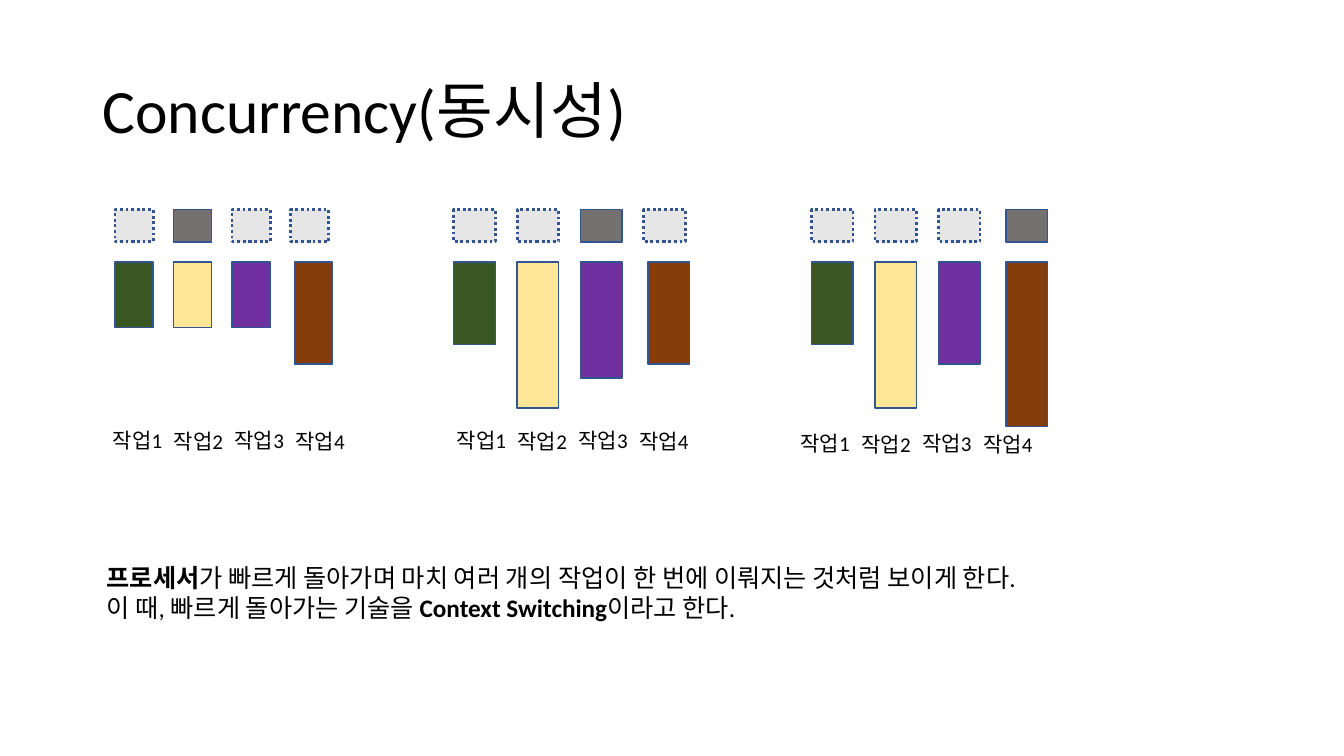
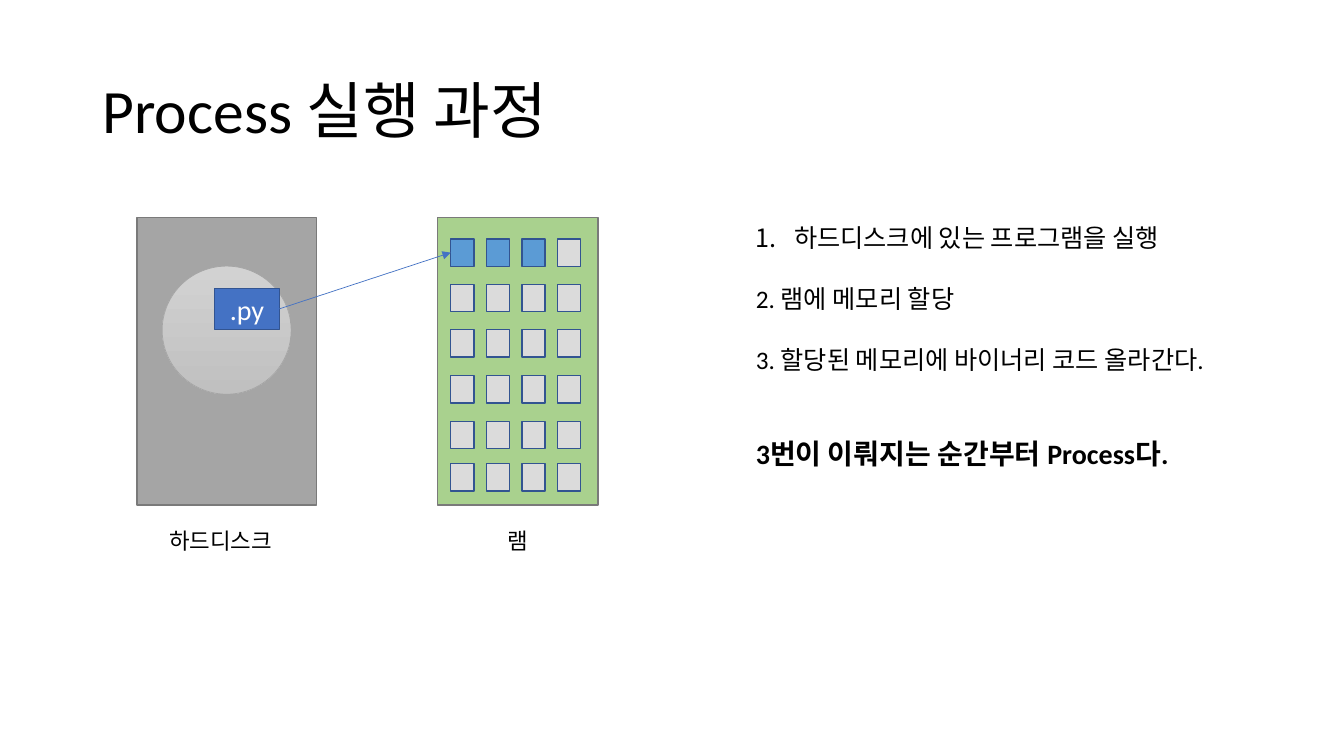
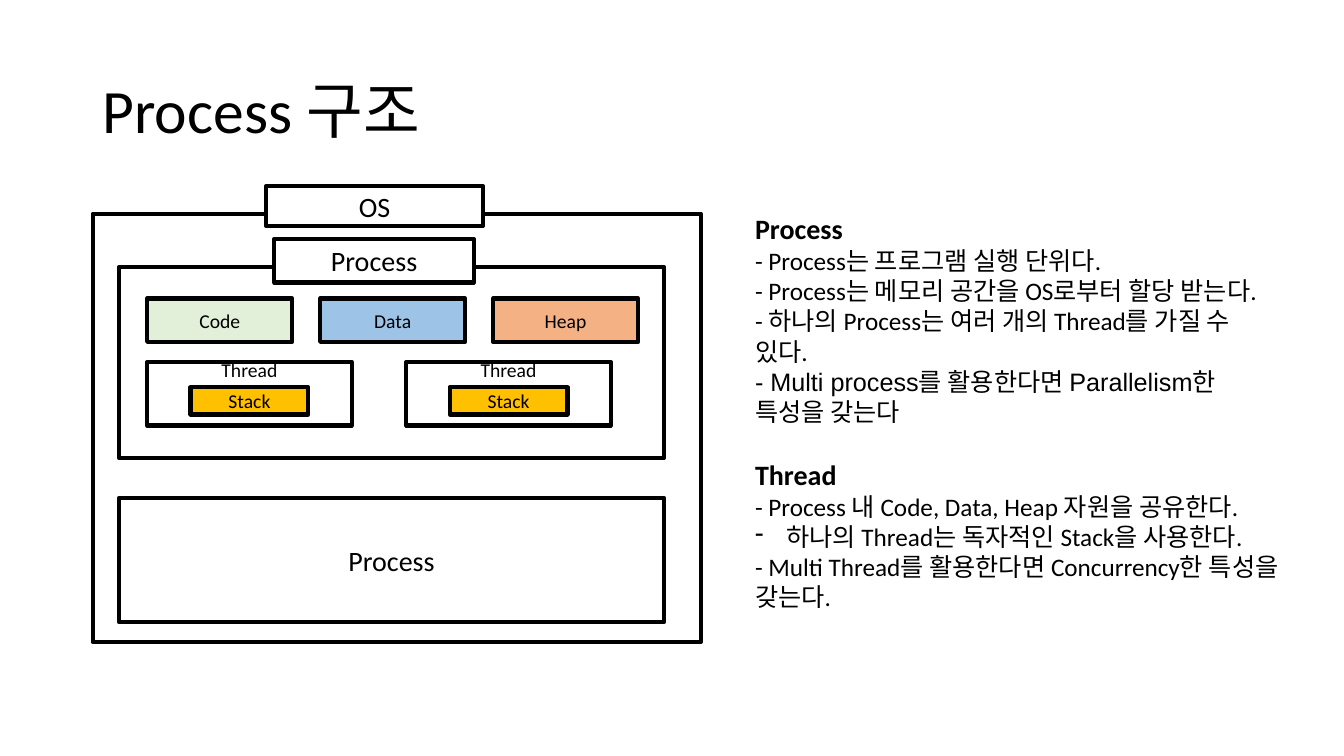
from dataclasses import dataclass

from lxml import etree
from pptx import Presentation
from pptx import util as u
from pptx.dml.color import RGBColor
from pptx.enum import dml, shapes, text
from pptx.oxml import ns

BLACK = RGBColor(0x00, 0x00, 0x00)
WHITE = RGBColor(0xFF, 0xFF, 0xFF)
NAVY = RGBColor(0x32, 0x54, 0x91)
BLUE = RGBColor(0x44, 0x72, 0xC4)
SKY = RGBColor(0x5B, 0x9B, 0xD5)
PALE_BLUE = RGBColor(0x9D, 0xC3, 0xE6)
GREEN = RGBColor(0x38, 0x57, 0x23)
BOARD_GREEN = RGBColor(0xA9, 0xD1, 0x8E)
PALE_GREEN = RGBColor(0xE2, 0xF0, 0xD9)
YELLOW = RGBColor(0xFF, 0xE6, 0x99)
AMBER = RGBColor(0xFF, 0xC0, 0x00)
PURPLE = RGBColor(0x70, 0x30, 0xA0)
BROWN = RGBColor(0x84, 0x3C, 0x0B)
PEACH = RGBColor(0xF4, 0xB1, 0x83)
IDLE_GRAY = RGBColor(0xE7, 0xE6, 0xE6)
ACTIVE_GRAY = RGBColor(0x76, 0x71, 0x71)
CELL_GRAY = RGBColor(0xDB, 0xDB, 0xDB)
DISK_GRAY = RGBColor(0xA5, 0xA5, 0xA5)
EDGE_GRAY = RGBColor(0x7A, 0x7A, 0x7A)
PLATTER_LIGHT = RGBColor(0xD2, 0xD2, 0xD2)
PLATTER_DARK = RGBColor(0xC0, 0xC0, 0xC0)

FONT = "Calibri"
RECT = shapes.MSO_SHAPE.RECTANGLE
CENTER = text.PP_ALIGN.CENTER
MIDDLE = text.MSO_ANCHOR.MIDDLE
BLANK_LINE = 22
TASK_COLORS = (GREEN, YELLOW, PURPLE, BROWN)


@dataclass
class Box:
    """A rectangle whose shares are given in percent of its own size."""
    left: float
    top: float
    width: float
    height: float

    def share(self, x, y, w, h):
        """Return the inner box at the given percentages."""
        return Box(self.left + self.width * x / 100, self.top + self.height * y / 100,
                   self.width * w / 100, self.height * h / 100)

    def emu(self):
        """Return whole-number coordinates for python-pptx."""
        return [u.Emu(round(v)) for v in (self.left, self.top, self.width, self.height)]


PAGE = Box(0, 0, u.Inches(13.33), u.Inches(7.5))


def add_run(paragraph, words, size, bold=False, color=BLACK, font=FONT):
    """Append one formatted run."""
    run = paragraph.add_run()
    run.text = words
    run.font.size = u.Pt(size)
    run.font.bold = bold
    run.font.name = font
    run.font.color.rgb = color


def set_bullet(paragraph, tag, indent, **attributes):
    """Give a paragraph a hanging bullet or number."""
    props = paragraph._p.get_or_add_pPr()
    props.set("marL", str(u.Inches(indent)))
    props.set("indent", str(-u.Inches(indent)))
    etree.SubElement(props, ns.qn(tag), attributes)


def add_textbox(slide, box):
    """Add an empty wrapping text box and return its frame."""
    frame = slide.shapes.add_textbox(*box.emu()).text_frame
    frame.word_wrap = True
    return frame


def add_caption(slide, box, words, size):
    """Add one centred line of text."""
    paragraph = add_textbox(slide, box).paragraphs[0]
    paragraph.alignment = CENTER
    add_run(paragraph, words, size)


def add_block(slide, box, fill, edge=NAVY, weight=1, words="", size=14, color=BLACK, kind=RECT):
    """Add an outlined shape, with centred words if given."""
    block = slide.shapes.add_shape(kind, *box.emu())
    block.shadow.inherit = False
    if fill is None:
        block.fill.background()
    else:
        block.fill.solid()
        block.fill.fore_color.rgb = fill
    block.line.color.rgb = edge
    block.line.width = u.Pt(weight)
    if words:
        block.text_frame.vertical_anchor = MIDDLE
        paragraph = block.text_frame.paragraphs[0]
        paragraph.alignment = CENTER
        add_run(paragraph, words, size, color=color)
    return block


def add_titled_slide(deck, title):
    """Add a blank slide with the shared title."""
    slide = deck.slides.add_slide(deck.slide_layouts[6])
    frame = add_textbox(slide, PAGE.share(6.9, 5.33, 86.27, 19.33))
    frame.vertical_anchor = MIDDLE
    frame.paragraphs[0].line_spacing = 0.9
    add_run(frame.paragraphs[0], title, 44)
    return slide


def add_paragraphs(frame, items):
    """Write (runs, space before) items and return the paragraphs."""
    written = []
    for runs, gap in items:
        paragraph = frame.add_paragraph() if written else frame.paragraphs[0]
        if gap:
            paragraph.space_before = u.Pt(gap)
        for run in runs:
            add_run(paragraph, *run)
        written.append(paragraph)
    return written


def draw_tasks(slide, box, active, last_slot, lengths):
    """Draw four processor slots over four progress bars."""
    for i, (color, length) in enumerate(zip(TASK_COLORS, lengths)):
        x = 26.9 * i
        slot = box.share(last_slot if i == 3 else x, 0, 17.6, 14.9)
        if i == active:
            add_block(slide, slot, ACTIVE_GRAY)
        else:
            idle = add_block(slide, slot, IDLE_GRAY, weight=2)
            idle.line.dash_style = dml.MSO_LINE.ROUND_DOT
        add_block(slide, box.share(82.4 if i == 3 else x, 24.2, 17.6, length), color)


def draw_task_names(slide, box):
    """Draw the row of four task names."""
    for i in range(4):
        add_caption(slide, box.share(23.1 * i, 3 * (i % 2), 31, 100), f"작업{i + 1}", 15)


def build_concurrency(deck):
    """Build the slide on concurrency."""
    slide = add_titled_slide(deck, "Concurrency(동시성)")
    stages = (
        (8.55, 16.2, 1, 80.6, (30.2, 30.2, 30.2, 47)),
        (33.76, 17.55, 2, 80.6, (38.1, 67.4, 53.5, 47)),
        (60.39, 17.55, 3, 82.4, (38.1, 67.4, 47, 75.8)),
    )
    for i, (left, width, active, last_slot, lengths) in enumerate(stages):
        draw_tasks(slide, PAGE.share(left, 27.73, width, 28.67), active, last_slot, lengths)
        names_top = 56.3 if i == 2 else 55.87
        draw_task_names(slide, PAGE.share(7.2 + 25.58 * i, names_top, 19.6, 4.67))
    add_paragraphs(add_textbox(slide, PAGE.share(7.2, 73.73, 86.27, 9.47)), (
        ((("프로세서", 18, True),
          ("가 빠르게 돌아가며 마치 여러 개의 작업이 한 번에 이뤄지는 것처럼 보이게 한다.", 18)), 0),
        ((("이 때, 빠르게 돌아가는 기술을 ", 18), ("Context Switching", 18, True),
          ("이라고 한다.", 18)), 0),
    ))


def draw_ram(slide, box):
    """Draw the memory board and return its first cell."""
    add_block(slide, box, BOARD_GREEN, EDGE_GRAY)
    cells = []
    for row, y in enumerate((7.4, 23.2, 39, 55, 70.9, 85.6)):
        for column in range(4):
            used = row == 0 and column < 3
            cell = box.share(8.2 + 22.2 * column, y, 14.5, 9.5)
            cells.append(add_block(slide, cell, SKY if used else CELL_GRAY))
    add_caption(slide, box.share(10, 106, 80.5, 13), "램", 16)
    return cells[0]


def draw_disk(slide, box):
    """Draw the hard disk and return its program file."""
    add_block(slide, box, DISK_GRAY, EDGE_GRAY)
    platter = add_block(slide, box.share(14, 16.84, 71.9, 44.6), PLATTER_LIGHT, DISK_GRAY, 0.5,
                        kind=shapes.MSO_SHAPE.OVAL)
    platter.fill.gradient()
    platter.fill.gradient_angle = 270
    for stop, color in zip(platter.fill.gradient_stops, (PLATTER_LIGHT, PLATTER_DARK)):
        stop.color.rgb = color
    add_caption(slide, box.share(7.3, 106, 78.65, 13), "하드디스크", 16)
    return add_block(slide, box.share(43.25, 24.55, 36, 14.4), BLUE,
                     words=".py", size=20, color=WHITE)


def draw_load_arrow(slide, program, cell):
    """Join the program file to the memory cell with an arrow."""
    arrow = slide.shapes.add_connector(shapes.MSO_CONNECTOR.STRAIGHT, 0, 0, 0, 0)
    arrow.begin_connect(program, 3)
    arrow.end_connect(cell, 1)
    arrow.line.color.rgb = BLUE
    arrow.line.width = u.Pt(0.5)
    props = arrow._element.spPr
    etree.SubElement(props.get_or_add_ln(), ns.qn("a:tailEnd"), type="triangle")
    etree.SubElement(props, ns.qn("a:effectLst"))


def build_execution(deck):
    """Build the slide on how a process starts."""
    slide = add_titled_slide(deck, "Process 실행 과정")
    cell = draw_ram(slide, PAGE.share(32.56, 28.8, 11.93, 38))
    program = draw_disk(slide, PAGE.share(10.2, 28.8, 13.35, 38))
    draw_load_arrow(slide, program, cell)
    steps = add_paragraphs(add_textbox(slide, PAGE.share(55.5, 28.8, 34.36, 38.13)), (
        ((("하드디스크에 있는 프로그램을 실행", 18),), 0),
        ((("2. 램에 메모리 할당", 18),), BLANK_LINE),
        ((("3. 할당된 메모리에 바이너리 코드 올라간다.", 18),), BLANK_LINE),
        ((("3번이 이뤄지는 순간부터 Process다.", 20, True),), 2 * BLANK_LINE),
    ))
    set_bullet(steps[0], "a:buAutoNum", 0.38, type="arabicPeriod")


def add_frame(slide, box, words="", fill=WHITE, size=14):
    """Add a piece of the structure with a heavy black outline."""
    return add_block(slide, box, fill, BLACK, 3, words, size)


def draw_thread(slide, box):
    """Draw a thread with its stack, the name above the stack."""
    frame = add_frame(slide, box, "Thread").text_frame
    frame.margin_top = 0
    frame.margin_bottom = u.Emu(round(box.height * 0.75))
    add_frame(slide, box.share(21.2, 39.7, 57.6, 42.9), "Stack", AMBER)


def draw_process(slide, box):
    """Draw a process with its memory segments and threads."""
    add_frame(slide, box)
    add_frame(slide, box.share(28.5, -14.8, 36.6, 22.75), "Process", size=20)
    segments = (("Code", PALE_GREEN), ("Data", PALE_BLUE), ("Heap", PEACH))
    for i, (name, color) in enumerate(segments):
        add_frame(slide, box.share(5.2 + 31.7 * i, 16.4, 26.6, 22.75), name, color)
    for i in range(2):
        draw_thread(slide, box.share(5.2 + 47.5 * i, 49.75, 37.5, 33.3))


def draw_system(slide, box):
    """Draw the operating system around its processes."""
    add_frame(slide, box, fill=None)
    add_frame(slide, box.share(28.5, -6.4, 35.7, 9.2), "OS", size=20)
    draw_process(slide, box.share(4.3, 12.5, 89.7, 44.5))
    add_frame(slide, box.share(4.3, 66.35, 89.7, 28.95), "Process", size=20)


def build_structure(deck):
    """Build the slide on the structure of a process."""
    slide = add_titled_slide(deck, "Process 구조")
    draw_system(slide, PAGE.share(6.9, 28.27, 45.24, 56.67))
    notes = add_paragraphs(add_textbox(slide, PAGE.share(55.44, 27.33, 40.44, 58.8)), (
        ((("Process", 20, True),), 0),
        ((("- Process는 프로그램 실행 단위다.", 18),), 0),
        ((("- Process는 메모리 공간을 OS로부터 할당 받는다.", 18),), 0),
        ((("- 하나의 Process는 여러 개의 Thread를 가질 수 있다.", 18),), 0),
        ((("- Multi process를 활용한다면 Parallelism한 특성을 갖는다", 18, False, BLACK, "Arial"),), 0),
        ((("Thread", 20, True),), BLANK_LINE),
        ((("- Process 내 Code, Data, Heap 자원을 공유한다.", 18),), 0),
        ((("하나의 Thread는 독자적인 Stack을 사용한다.", 18),), 0),
        ((("- Multi Thread를 활용한다면 Concurrency한 특성을 갖는다.", 18),), 0),
    ))
    set_bullet(notes[7], "a:buChar", 0.31, char="-")


def main():
    """Build and save the deck."""
    deck = Presentation()
    deck.slide_width, deck.slide_height = PAGE.width, PAGE.height
    build_concurrency(deck)
    build_execution(deck)
    build_structure(deck)
    deck.save("out.pptx")


if __name__ == "__main__":
    main()
